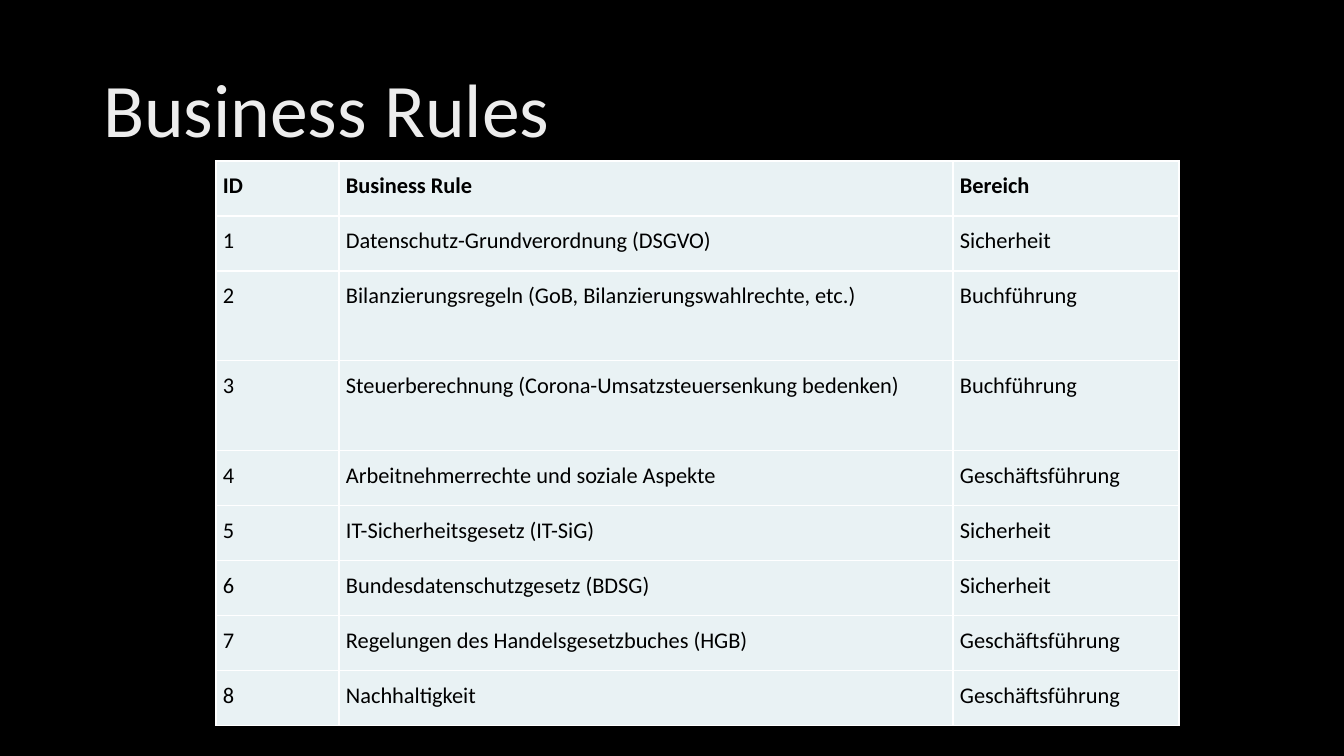
from lxml import etree
from pptx import Presentation
from pptx.dml.color import RGBColor
from pptx.enum.text import MSO_ANCHOR as Anchor, MSO_AUTO_SIZE as AutoSize, PP_ALIGN as Align
from pptx.oxml.ns import qn
from pptx.util import Pt

EMU_PER_PX = 12192000 / 1344
FONT = "Calibri"
TITLE_STOPS = [(0, "BFBFBF"), (28, "EDEDED"), (100, "FFFFFF")]
COLUMN_WIDTHS = [123, 614, 226]
ROW_HEIGHT, TALL_ROW_HEIGHT = 55, 90
TALL_ROWS = {2, 3}
HEADINGS = ("ID", "Business Rule", "Bereich")
RULES = [
    ("Datenschutz-Grundverordnung (DSGVO)", "Sicherheit"),
    ("Bilanzierungsregeln (GoB, Bilanzierungswahlrechte, etc.)", "Buchführung"),
    ("Steuerberechnung (Corona-Umsatzsteuersenkung bedenken)", "Buchführung"),
    ("Arbeitnehmerrechte und soziale Aspekte", "Geschäftsführung"),
    ("IT-Sicherheitsgesetz (IT-SiG)", "Sicherheit"),
    ("Bundesdatenschutzgesetz (BDSG)", "Sicherheit"),
    ("Regelungen des Handelsgesetzbuches (HGB)", "Geschäftsführung"),
    ("Nachhaltigkeit", "Geschäftsführung"),
]


def px(length):
    """Turn pixels into EMU."""
    return round(length * EMU_PER_PX)


def paint(fill, color):
    """Give a fill one solid colour."""
    fill.solid()
    fill.fore_color.rgb = RGBColor.from_string(color)


def add_color(parent, color):
    """Append an RGB colour element."""
    etree.SubElement(parent, qn("a:srgbClr"), val=color)


def shade_title(font):
    """Fill the title text with its three-stop gradient."""
    font.fill.gradient()
    font.fill.gradient_angle = 280
    stops = next(font._element.iter(qn("a:gsLst")))
    for stop in list(stops):
        stops.remove(stop)
    for percent, color in TITLE_STOPS:
        add_color(etree.SubElement(stops, qn("a:gs"), pos=str(percent * 1000)), color)


def set_title(slide, text):
    """Place and format the title placeholder."""
    title = slide.shapes.title
    title.left, title.top, title.width, title.height = map(px, (93, 40, 1159, 146))
    frame = title.text_frame
    frame.text = text
    frame.auto_size = AutoSize.NONE
    frame.vertical_anchor = Anchor.MIDDLE
    heading = frame.paragraphs[0]
    heading.alignment, heading.line_spacing = Align.LEFT, 0.9
    heading.font.name, heading.font.size = FONT, Pt(54)
    shade_title(heading.font)


def add_borders(cell, color, width):
    """Draw the four borders of a cell ahead of its fill."""
    properties = cell._tc.get_or_add_tcPr()
    for position, side in enumerate(("a:lnL", "a:lnR", "a:lnT", "a:lnB")):
        line = etree.Element(qn(side), w=str(Pt(width)))
        add_color(etree.SubElement(line, qn("a:solidFill")), color)
        properties.insert(position, line)


def fill_cell(cell, text, bold):
    """Write and format one table cell."""
    cell.text = text
    cell.margin_left = cell.margin_right = cell.margin_top = cell.margin_bottom = px(7)
    paint(cell.fill, "E9F2F4")
    add_borders(cell, "FFFFFF", 1)
    entry = cell.text_frame.paragraphs[0]
    entry.alignment, entry.line_spacing = Align.JUSTIFY, 1.15
    entry.font.name, entry.font.size, entry.font.bold = FONT, Pt(16), bold
    paint(entry.font.fill, "000000")


def add_rules_table(slide):
    """Add the table of numbered business rules."""
    entries = [HEADINGS] + [(str(number), *rule) for number, rule in enumerate(RULES, 1)]
    heights = [TALL_ROW_HEIGHT if row in TALL_ROWS else ROW_HEIGHT for row in range(len(entries))]
    table = slide.shapes.add_table(
        len(entries), len(HEADINGS), px(216), px(161), px(sum(COLUMN_WIDTHS)), px(sum(heights))
    ).table
    table.first_row, table.horz_banding = True, False
    for column, width in zip(table.columns, COLUMN_WIDTHS):
        column.width = px(width)
    for index, (row, height, texts) in enumerate(zip(table.rows, heights, entries)):
        row.height = px(height)
        for cell, text in zip(row.cells, texts):
            fill_cell(cell, text, bold=index == 0)


def main():
    """Build and save the slide."""
    deck = Presentation()
    deck.slide_width, deck.slide_height = px(1344), px(756)
    slide = deck.slides.add_slide(deck.slide_layouts[5])
    paint(slide.background.fill, "000000")
    set_title(slide, "Business Rules")
    add_rules_table(slide)
    deck.save("out.pptx")


if __name__ == "__main__":
    main()
